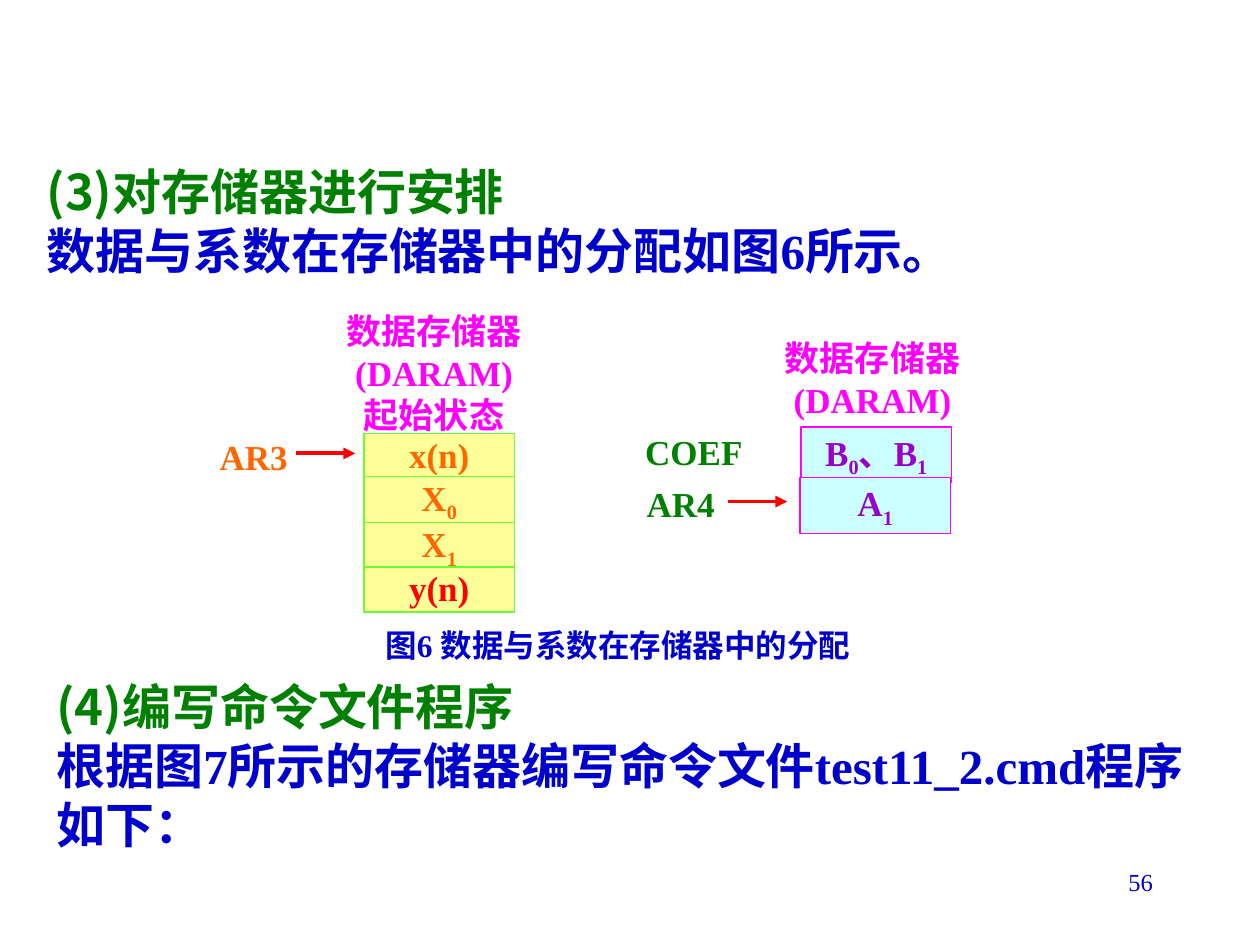
from lxml import etree
from pptx import Presentation
from pptx.dml.color import RGBColor
from pptx.enum import shapes, text
from pptx.oxml import ns
from pptx.util import Cm, Pt

COLORS = {
    "blue": "0000CC", "green": "008000", "magenta": "FF00FF", "orange": "FF6600",
    "red": "FF0000", "purple": "9900CC", "lime": "66FF33", "yellow": "FFFF99",
    "cyan": "CCFFFF", "white": "FFFFFF",
}
SERIF, SANS = "Times New Roman", "Noto Sans CJK SC"
LEFT, CENTER, RIGHT = text.PP_ALIGN.LEFT, text.PP_ALIGN.CENTER, text.PP_ALIGN.RIGHT
TOP, MIDDLE = text.MSO_ANCHOR.TOP, text.MSO_ANCHOR.MIDDLE


def rgb(name):
    return RGBColor.from_string(COLORS[name])


def write(shape, lines, size, align=LEFT, anchor=TOP, insets=(0.15, 0.08, 0.08), bold=True):
    frame = shape.text_frame
    frame.word_wrap = True
    frame.vertical_anchor = anchor
    side, top, bottom = insets
    frame.margin_left = frame.margin_right = Cm(side)
    frame.margin_top, frame.margin_bottom = Cm(top), Cm(bottom)
    for index, (color, latin, pieces) in enumerate(lines):
        paragraph = frame.add_paragraph() if index else frame.paragraphs[0]
        paragraph.alignment = align
        for position, piece in enumerate(pieces):
            run = paragraph.add_run()
            run.text = piece
            run.font.size, run.font.bold, run.font.name = Pt(size), bold, latin
            run.font.color.rgb = rgb(color)
            properties = run._r.get_or_add_rPr()
            etree.SubElement(properties, ns.qn("a:ea"), typeface=SANS)
            if position % 2:
                properties.set("baseline", "-25000")


prs = Presentation()
prs.slide_width, prs.slide_height = Cm(25.4), Cm(19.05)
slide = prs.slides.add_slide(prs.slide_layouts[6])
wide_insets = (0.25, 0.13, 0.13)

page_number = slide.shapes.add_textbox(Cm(18.21), Cm(17.35), Cm(5.28), Cm(1.27))
write(page_number, [("blue", SERIF, ["56"])], 14, RIGHT, insets=wide_insets, bold=False)

sections = [
    (0.69, 3.12, 23.8, 2.64, "(3)对存储器进行安排", "数据与系数在存储器中的分配如图6所示。"),
    (0.89, 13.51, 23.39, 3.81, "(4)编写命令文件程序",
     "根据图7所示的存储器编写命令文件test11_2.cmd程序如下："),
]
for left, top, width, height, heading, sentence in sections:
    section = slide.shapes.add_textbox(Cm(left), Cm(top), Cm(width), Cm(height))
    write(section, [("green", SANS, [heading]), ("blue", SERIF, [sentence])],
          28, anchor=MIDDLE, insets=wide_insets)

figure = slide.shapes.add_group_shape().shapes

memory_titles = [
    (15.47, 6.71, 1.85, ["数据存储器", "(DARAM)"]),
    (6.63, 6.15, 2.69, ["数据存储器", "(DARAM)", "起始状态"]),
]
for left, top, height, words in memory_titles:
    memory_title = figure.add_textbox(Cm(left), Cm(top), Cm(4.24), Cm(height))
    write(memory_title, [("magenta", SERIF, [word]) for word in words], 20, CENTER)

memory_cells = [
    (16.15, 8.61, 1.12, "cyan", "magenta", "purple", ["B", "0", "、B", "1"]),
    (16.13, 9.63, 1.12, "cyan", "magenta", "purple", ["A", "1"]),
    (7.34, 8.74, 0.91, "yellow", "lime", "orange", ["x(n)"]),
    (7.34, 9.6, 1.04, "yellow", "lime", "orange", ["X", "0"]),
    (7.34, 10.54, 1.04, "yellow", "lime", "orange", ["X", "1"]),
    (7.34, 11.43, 0.91, "yellow", "lime", "red", ["y(n)"]),
]
for left, top, height, fill, border, ink, pieces in memory_cells:
    cell = figure.add_shape(shapes.MSO_SHAPE.RECTANGLE, Cm(left), Cm(top), Cm(3.03), Cm(height))
    cell.shadow.inherit = False
    cell.fill.solid()
    cell.fill.fore_color.rgb = rgb(fill)
    cell.line.color.rgb = rgb(border)
    cell.line.width = Pt(0.75)
    top_inset = 0.08 if fill == "cyan" else 0
    write(cell, [(ink, SERIF, pieces)], 20, CENTER, insets=(0.15, top_inset, 0.08))

pointers = [
    (12.5, 8.59, 2.62, "green", "COEF"),
    (3.51, 8.69, 2.44, "orange", "AR3"),
    (12.12, 9.65, 2.44, "green", "AR4"),
]
for left, top, width, ink, name in pointers:
    pointer = figure.add_textbox(Cm(left), Cm(top), Cm(width), Cm(1.02))
    write(pointer, [(ink, SERIF, [name])], 20, RIGHT)

for start, level in [(5.97, 9.14), (14.68, 10.11)]:
    arrow = figure.add_connector(shapes.MSO_CONNECTOR.STRAIGHT,
                                 Cm(start), Cm(level), Cm(start + 1.19), Cm(level))
    arrow.line.color.rgb = rgb("red")
    arrow.line.width = Pt(2.25)
    etree.SubElement(arrow.line._get_or_add_ln(), ns.qn("a:tailEnd"), type="triangle")
    etree.SubElement(arrow._element.spPr, ns.qn("a:effectLst"))

caption = figure.add_shape(shapes.MSO_SHAPE.RECTANGLE, Cm(7.52), Cm(12.5), Cm(10.54), Cm(1.02))
caption.shadow.inherit = False
caption.fill.solid()
caption.fill.fore_color.rgb = rgb("white")
caption.line.fill.background()
write(caption, [("blue", SERIF, ["图6 数据与系数在存储器中的分配"])], 18, insets=wide_insets)

prs.save("out.pptx")
